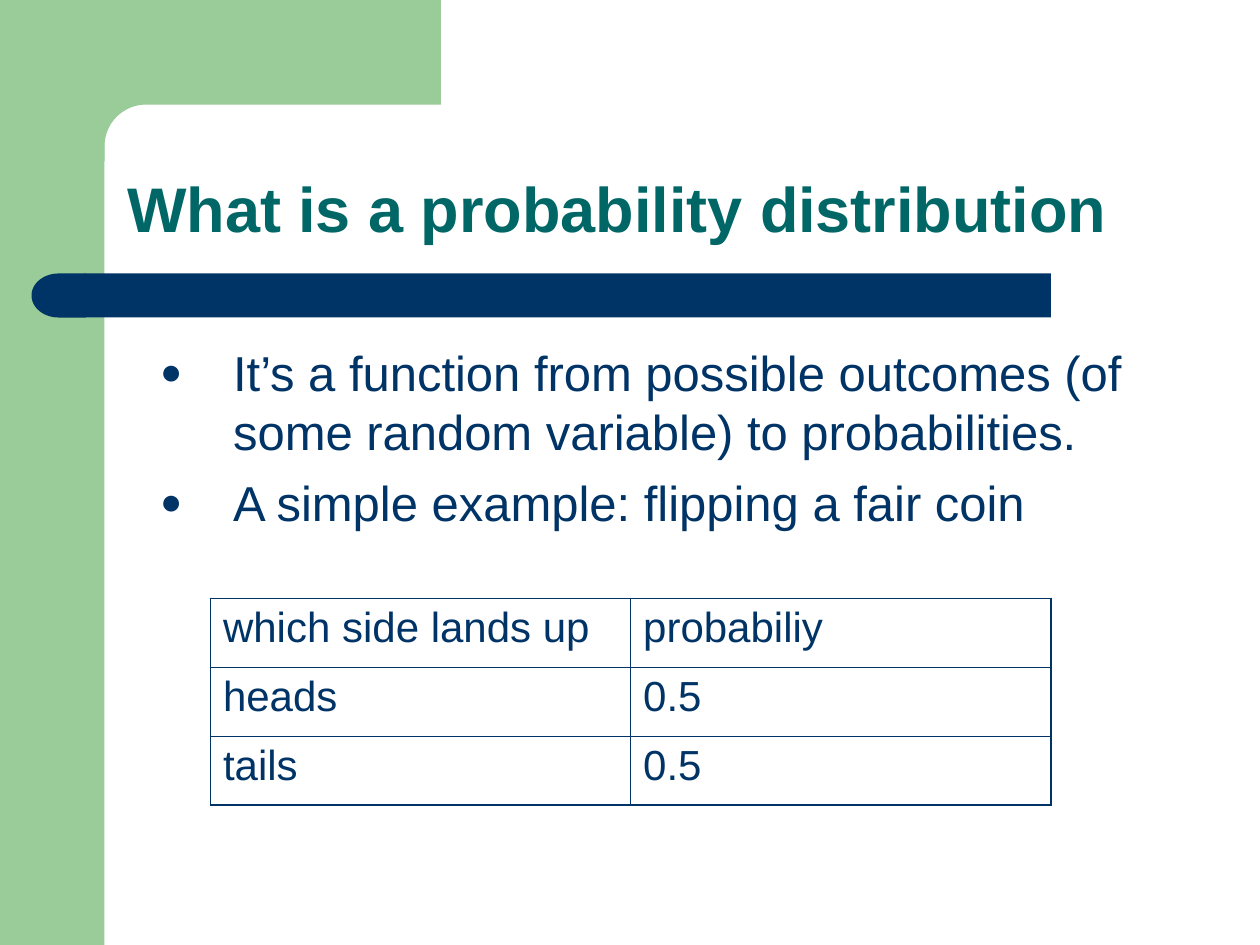
"""Build a slide that introduces probability distributions with a coin table."""
import math
import pptx
import pptx.util
import pptx.dml.color
import pptx.enum.shapes
import pptx.enum.text
import pptx.oxml
import pptx.oxml.ns

Inches, Pt = pptx.util.Inches, pptx.util.Pt
KIND = pptx.enum.shapes.MSO_SHAPE
TEXT = pptx.enum.text

TITLE = "What is a probability distribution"
POINTS = [
    "It’s a function from possible outcomes (of some random variable) to probabilities.",
    "A simple example: flipping a fair coin",
]
ROWS = [("which side lands up", "probabiliy"), ("heads", "0.5"), ("tails", "0.5")]
COLORS = {"leaf": "99CC99", "navy": "003366", "teal": "006666"}
FONT = "Arial"
BANDS = [
    (KIND.RECTANGLE, (0, 0, 0.83, 7.5), "leaf", 0),
    (KIND.RECTANGLE, (0.67, 2.17, 7.67, 0.35), "navy", 0),
    (KIND.FLOWCHART_DELAY, (0.25, 2.17, 0.43, 0.35), "navy", 180),
]
THICK, THIN = 1.08, 0.45


def color(name):
    return pptx.dml.color.RGBColor.from_string(COLORS[name])


def parse_xml(tag, body="", attrs=""):
    space = pptx.oxml.ns.nsdecls("a")
    return pptx.oxml.parse_xml(f"<a:{tag} {space} {attrs}>{body}</a:{tag}>")


def paint(shape, name):
    shape.shadow.inherit = False
    shape.fill.solid()
    shape.fill.fore_color.rgb = color(name)
    shape.line.fill.background()


def style(para, size, name, bold=False):
    font = para.font
    font.name, font.size, font.bold = FONT, Pt(size), bold
    font.color.rgb = color(name)


def place(shape, box):
    shape.left, shape.top, shape.width, shape.height = map(Inches, box)


def add_bands(shapes):
    for kind, box, name, turn in BANDS:
        band = shapes.add_shape(kind, *map(Inches, box))
        band.rotation = turn
        paint(band, name)


def add_corner(shapes):
    edge, radius, steps = 0.83, 0.33, 16
    mid = edge + radius
    turns = [math.pi / 2 * i / steps for i in range(steps + 1)]
    arc = [(mid - radius * math.sin(t), mid - radius * math.cos(t)) for t in turns]
    dots = [(3.5, edge), *arc, (edge, 1.28), (0.5, 1.28), (0.5, 0)]
    pen = shapes.build_freeform(Inches(3.5), 0, scale=1.0)
    pen.add_line_segments([(Inches(x), Inches(y)) for x, y in dots], close=True)
    paint(pen.convert_to_shape(), "leaf")


def fill_title(shape):
    place(shape, (0.91, 0.91, 8.51, 1.09))
    frame = shape.text_frame
    frame.text = TITLE
    frame.auto_size = TEXT.MSO_AUTO_SIZE.NONE
    frame.vertical_anchor = TEXT.MSO_ANCHOR.BOTTOM
    para = frame.paragraphs[0]
    para.alignment = TEXT.PP_ALIGN.LEFT
    para.line_spacing = 0.9
    style(para, 36, "teal", True)


def fill_body(shape):
    place(shape, (1.17, 2.67, 8.41, 4.07))
    frame = shape.text_frame
    frame.text = "\n".join(POINTS)
    frame.auto_size = TEXT.MSO_AUTO_SIZE.NONE
    for i, para in enumerate(frame.paragraphs):
        props = para._p.get_or_add_pPr()
        props.set("marL", str(Inches(0.58)))
        props.set("indent", str(Inches(-0.58)))
        props.append(parse_xml("buClr", f'<a:srgbClr val="{COLORS["navy"]}"/>'))
        props.append(parse_xml("buSzPct", attrs='val="75000"'))
        props.append(parse_xml("buFont", attrs=f'typeface="{FONT}"'))
        props.append(parse_xml("buChar", attrs='char="●"'))
        para.space_before = Pt(7 if i else 0)
        style(para, 28, "navy")


def set_borders(cell, outer):
    props = cell._tc.get_or_add_tcPr()
    fill = f'<a:solidFill><a:srgbClr val="{COLORS["navy"]}"/></a:solidFill>'
    for i, side in enumerate("LRTB"):
        width = Pt(THICK if outer[side] else THIN)
        props.insert(i, parse_xml(f"ln{side}", fill, f'w="{width}"'))


def add_grid(shapes):
    rows, cols = len(ROWS), len(ROWS[0])
    box = map(Inches, (1.67, 4.75, 6.67, 1.64))
    table = shapes.add_table(rows, cols, *box).table
    table.first_row = table.horz_banding = False
    for r, row in enumerate(ROWS):
        for c, text in enumerate(row):
            cell = table.cell(r, c)
            cell.text = text
            cell.fill.background()
            style(cell.text_frame.paragraphs[0], 24, "navy")
            set_borders(cell, {"L": c == 0, "R": c == cols - 1,
                               "T": r == 0, "B": r == rows - 1})


def main():
    deck = pptx.Presentation()
    deck.slide_width, deck.slide_height = Inches(10), Inches(7.5)
    slide = deck.slides.add_slide(deck.slide_layouts[1])
    shapes = slide.shapes
    title, body = shapes.title, slide.placeholders[1]
    add_bands(shapes)
    add_corner(shapes)
    fill_title(title)
    fill_body(body)
    for holder in (title, body):
        shapes._spTree.append(holder._element)
    add_grid(shapes)
    deck.save("out.pptx")


if __name__ == "__main__":
    main()
